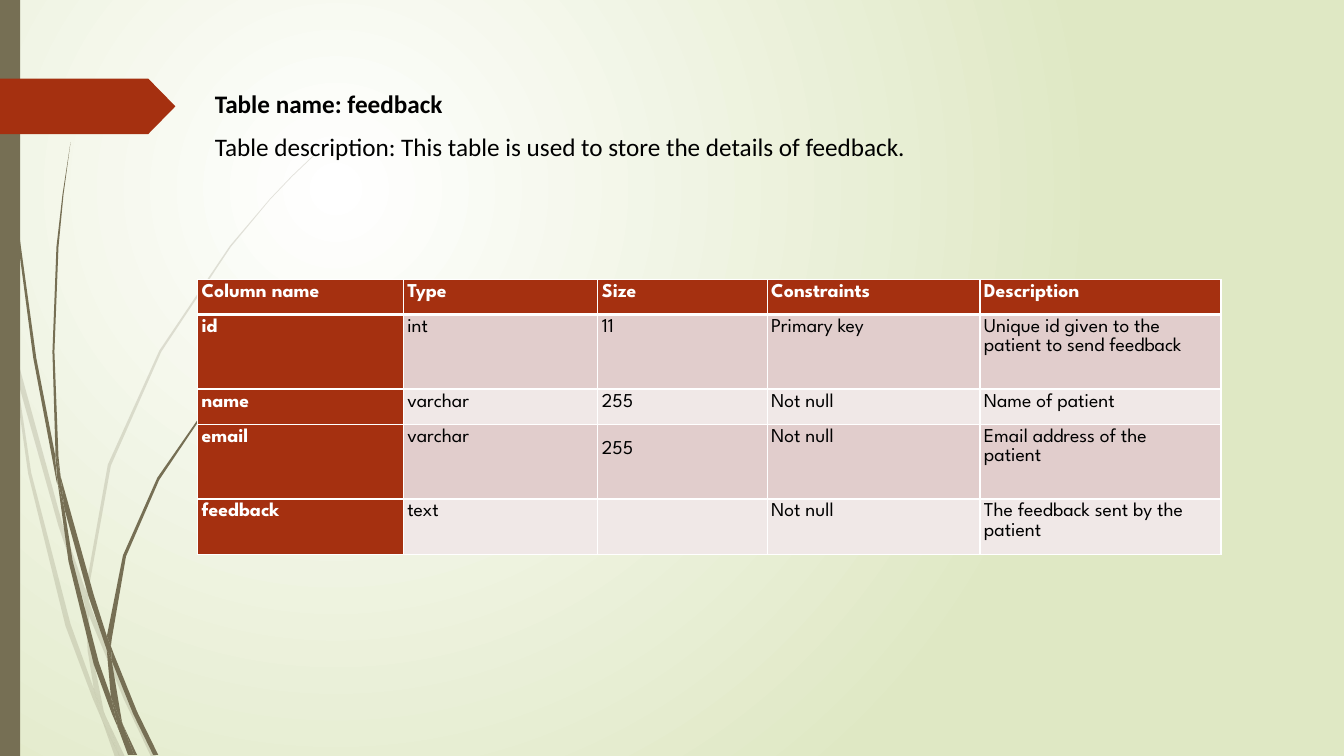
import pptx
import pptx.dml.color
import pptx.enum.shapes
import pptx.enum.text
import pptx.oxml
import pptx.oxml.ns
import pptx.util
from pptx.util import Inches

RED, OLIVE, WHITE, BLACK = "A53010", "766F54", "FFFFFF", "000000"
BANDS = ("E1CDCC", "F0E8E7")

# Outline of each blade of grass, as corner points in inches
PALE_BLADES = [
    [(.11, 3.5), (.09, 3.22), (0, 2.82), (0, 2.99), (.1, 3.44)],
    [(.58, 5.22), (.84, 5.99), (.85, 5.86), (.62, 5.2), (.14, 3.45), (.17, 3.76)],
    [(.92, 6.07), (.88, 5.96), (.88, 6.1), (1.23, 6.94), (1.5, 7.51), (1.55, 7.51),
     (1.27, 6.92)],
    [(1.19, 7.51), (1.24, 7.51), (1.05, 7.11)],
    [(.93, 6.83), (.7, 6.19), (.31, 4.69), (.17, 3.76), (.11, 3.5), (.28, 4.7),
     (.65, 6.21), (.92, 6.93), (1.01, 7.14), (.99, 7.07)],
    [(.84, 5.99), (.87, 6.46), (.93, 6.83), (.96, 6.92), (1.05, 7.11), (1.03, 7.06),
     (.91, 6.46), (.88, 6.1), (.88, 6.08)],
    [(.88, 5.84), (1.1, 4.62), (1.6, 3.49), (2.29, 2.45), (2.68, 1.98), (2.9, 1.75),
     (3.12, 1.54), (3.12, 1.53), (2.89, 1.75), (2.68, 1.97), (2.28, 2.44),
     (1.58, 3.48), (1.07, 4.61), (.85, 5.84), (.85, 5.86), (.88, 5.96)],
    [(1.01, 7.14), (1.14, 7.51), (1.19, 7.51)],
    [(.88, 6.08), (.88, 6.1), (.88, 5.96), (.85, 5.86), (.84, 5.99)],
    [(.96, 6.92), (.93, 6.83), (.99, 7.07), (1.01, 7.14), (1.19, 7.51), (1.05, 7.11)],
]
DARK_BLADES = [
    [(.07, 1.1), (.17, 2.33), (.33, 3.55), (.56, 4.77), (.57, 4.81), (.55, 4.57),
     (.55, 4.53), (.36, 3.55), (.19, 2.32), (.08, 1.09), (.05, .48), (.04, 0),
     (.03, 0), (.04, .48)],
    [(.88, 5.92), (1.06, 6.45), (1.06, 6.33), (1.06, 6.31), (.93, 5.9), (.6, 4.72),
     (.64, 5.05)],
    [(1.13, 6.49), (1.1, 6.41), (1.11, 6.56), (1.32, 7.08), (1.52, 7.49), (1.57, 7.49),
     (1.36, 7.06)],
    [(1.1, 6.91), (.98, 6.57), (.72, 5.56), (.64, 5.05), (.57, 4.77), (.68, 5.57),
     (.93, 6.59), (1.11, 7.08), (1.17, 7.22), (1.16, 7.17)],
    [(.6, 4.72), (.58, 4.53), (.54, 3.49), (.58, 2.45), (.63, 1.93), (.7, 1.41),
     (.62, 1.93), (.56, 2.45), (.52, 3.49), (.55, 4.49)],
    [(1.33, 7.49), (1.36, 7.49), (1.22, 7.19)],
    [(.57, 4.77), (.64, 5.05), (.6, 4.72), (.55, 4.49), (.55, 4.53)],
    [(1.11, 6.33), (1.25, 5.52), (1.58, 4.76), (2.05, 4.06), (2.31, 3.74), (2.45, 3.59),
     (2.61, 3.44), (2.6, 3.44), (2.45, 3.58), (2.31, 3.73), (2.04, 4.05), (1.56, 4.74),
     (1.22, 5.51), (1.06, 6.31), (1.1, 6.41)],
    [(1.17, 7.22), (1.27, 7.49), (1.31, 7.49)],
    [(1.06, 6.45), (1.1, 6.91), (1.16, 7.06), (1.22, 7.19), (1.21, 7.16), (1.11, 6.56),
     (1.09, 6.51)],
    [(1.06, 6.45), (1.09, 6.51), (1.11, 6.56), (1.1, 6.41), (1.06, 6.31), (1.06, 6.33)],
    [(1.16, 7.06), (1.1, 6.91), (1.16, 7.17), (1.17, 7.22), (1.3, 7.49), (1.33, 7.49),
     (1.22, 7.19)],
]

COLUMN_WIDTHS = (2.04, 1.93, 1.68, 2.11, 2.39)
ROW_HEIGHTS = (.35, .74, .35, .74, .55)
FEEDBACK_COLUMNS = [
    ("Column name", "Type", "Size", "Constraints", "Description"),
    ("id", "int", "11", "Primary key", "Unique id given to the patient to send feedback"),
    ("name", "varchar", "255", "Not null", "Name of patient"),
    ("email", "varchar", "255", "Not null", "Email address of the patient"),
    ("feedback", "text", "", "Not null", "The feedback sent by the patient"),
]


def rgb(value):
    return pptx.dml.color.RGBColor.from_string(value)


def paint(shape, color, alpha=None):
    shape.shadow.inherit = False
    shape.fill.solid()
    shape.fill.fore_color.rgb = rgb(color)
    shape.line.fill.background()
    if alpha is not None:
        color_node = shape._element.spPr.find(".//" + pptx.oxml.ns.qn("a:srgbClr"))
        color_node.append(pptx.oxml.parse_xml(
            f'<a:alpha {pptx.oxml.ns.nsdecls("a")} val="{alpha * 1000}"/>'))


def style_text(paragraph, size, font, color, bold):
    paragraph.line_spacing = 1.07
    for run in paragraph.runs:
        run.font.size = pptx.util.Pt(size)
        run.font.name = font
        run.font.bold = bold
        run.font.color.rgb = rgb(color)


def set_background(slide):
    fill = slide.background.fill
    fill.gradient()
    for stop, (position, color) in zip(fill.gradient_stops, [(0, WHITE), (1, "DFE8C4")]):
        stop.position = position
        stop.color.rgb = rgb(color)
    gradient = slide._element.find(".//" + pptx.oxml.ns.qn("a:gradFill"))
    linear = gradient.find(pptx.oxml.ns.qn("a:lin"))
    gradient.replace(linear, pptx.oxml.parse_xml(
        f'<a:path {pptx.oxml.ns.nsdecls("a")} path="circle">'
        '<a:fillToRect l="50000" t="50000" r="100000" b="100000"/></a:path>'))


def add_blade(slide, points, alpha=None):
    corners = [(Inches(x), Inches(y)) for x, y in points]
    outline = slide.shapes.build_freeform(*corners[0])
    outline.add_line_segments(corners[1:], close=True)
    paint(outline.convert_to_shape(), OLIVE, alpha)


def add_block(slide, preset, left, top, width, height, color):
    block = slide.shapes.add_shape(
        preset, Inches(left), Inches(top), Inches(width), Inches(height))
    paint(block, color)
    return block


def set_borders(cell, bottom_width):
    properties = cell._tc.get_or_add_tcPr()
    for side, width in (("L", 1), ("R", 1), ("T", 1), ("B", bottom_width)):
        properties.append(pptx.oxml.parse_xml(
            f'<a:ln{side} {pptx.oxml.ns.nsdecls("a")} w="{pptx.util.Pt(width)}">'
            f'<a:solidFill><a:srgbClr val="{WHITE}"/></a:solidFill></a:ln{side}>'))


def fill_cell(cell, text, row, column):
    heading = row == 0 or column == 0
    set_borders(cell, 3 if row == 0 else 1)
    cell.fill.solid()
    cell.fill.fore_color.rgb = rgb(RED if heading else BANDS[(row - 1) % 2])
    cell.margin_left, cell.margin_right = Inches(.04), Inches(.15)
    cell.margin_top, cell.margin_bottom = Inches(.03), 0
    cell.text_frame.text = text
    style_text(cell.text_frame.paragraphs[0], 14, "League Spartan",
               WHITE if heading else BLACK, heading)


def add_feedback_table(slide):
    table = slide.shapes.add_table(
        len(ROW_HEIGHTS), len(COLUMN_WIDTHS), Inches(1.96), Inches(2.77),
        Inches(sum(COLUMN_WIDTHS)), Inches(sum(ROW_HEIGHTS))).table
    for column, width in zip(table.columns, COLUMN_WIDTHS):
        column.width = Inches(width)
    for row, height in zip(table.rows, ROW_HEIGHTS):
        row.height = Inches(height)
    for r, texts in enumerate(FEEDBACK_COLUMNS):
        for c, text in enumerate(texts):
            fill_cell(table.cell(r, c), text, r, c)
    # The size of the email column sits lower in its cell
    table.cell(3, 2).margin_top = Inches(.15)


def set_heading(slide):
    heading = slide.shapes.title
    heading.left, heading.top = Inches(2.03), Inches(.81)
    heading.width, heading.height = Inches(8.59), Inches(.85)
    frame = heading.text_frame
    frame.word_wrap = True
    frame.auto_size = pptx.enum.text.MSO_AUTO_SIZE.NONE
    frame.vertical_anchor = pptx.enum.text.MSO_ANCHOR.TOP
    frame.text = ("Table name: feedback\n"
                  "Table description: This table is used to store the details of feedback.")
    for paragraph, bold, space in zip(frame.paragraphs, (True, False), (7.5, 0)):
        paragraph.alignment = pptx.enum.text.PP_ALIGN.LEFT
        paragraph.space_before = pptx.util.Pt(0)
        paragraph.space_after = pptx.util.Pt(space)
        style_text(paragraph, 18, "Calibri", BLACK, bold)
    slide.shapes._spTree.append(heading._element)  # bring to front


def main():
    presentation = pptx.Presentation()
    presentation.slide_width, presentation.slide_height = Inches(13.33), Inches(7.5)
    slide = presentation.slides.add_slide(presentation.slide_layouts[5])
    set_background(slide)

    # Grass, side bar and arrow tag
    for blade in PALE_BLADES:
        add_blade(slide, blade, alpha=20)
    for blade in DARK_BLADES:
        add_blade(slide, blade)
    presets = pptx.enum.shapes.MSO_SHAPE
    add_block(slide, presets.RECTANGLE, 0, 0, .2, 7.5, OLIVE)
    tag = add_block(slide, presets.PENTAGON, 0, .78, 1.74, .55, RED)
    tag.adjustments[0] = .49

    # Content
    add_feedback_table(slide)
    set_heading(slide)
    presentation.save("out.pptx")


if __name__ == "__main__":
    main()
